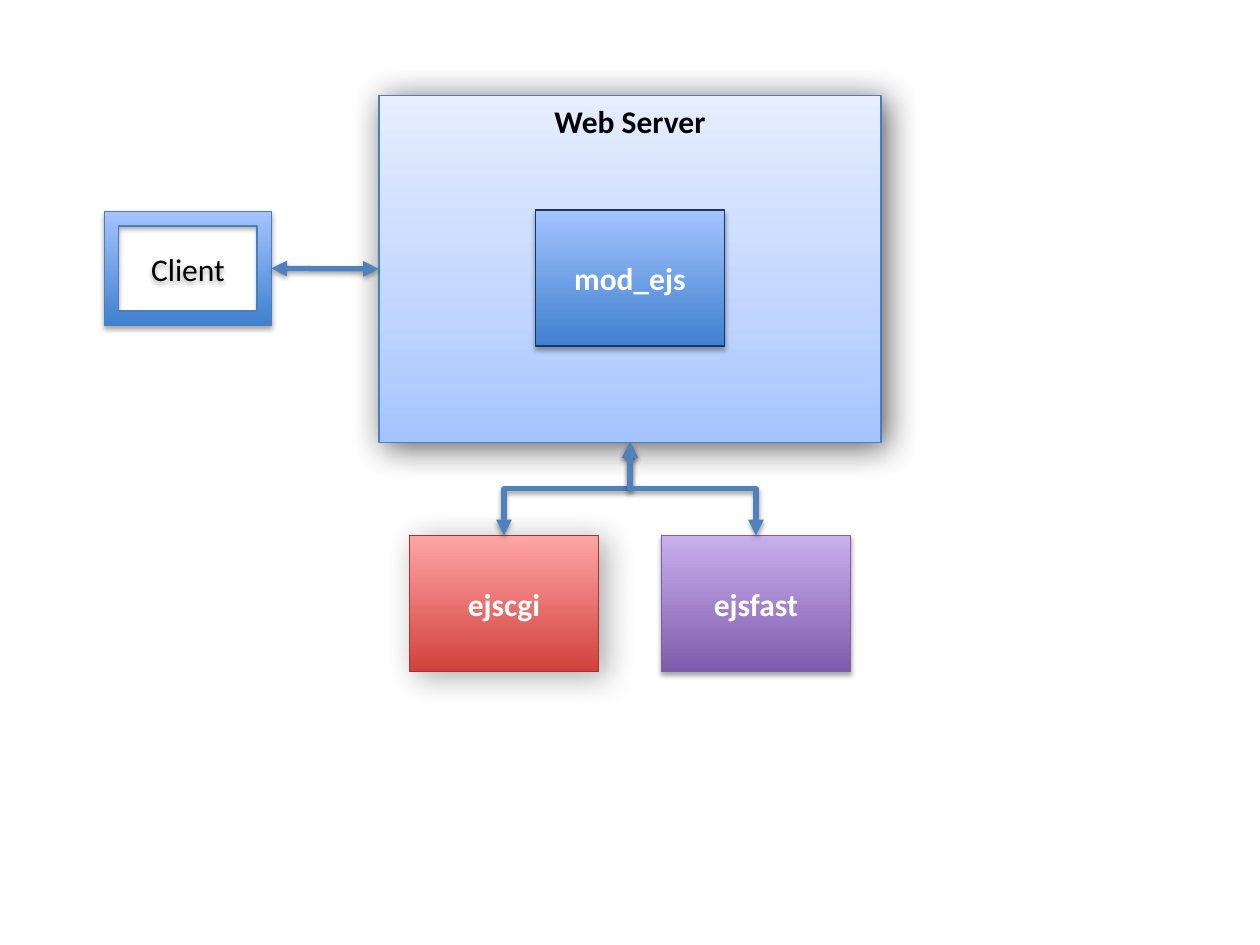
from dataclasses import dataclass

from lxml.etree import SubElement
from pptx import Presentation
from pptx.dml.color import RGBColor
from pptx.enum.shapes import MSO_CONNECTOR, MSO_SHAPE
from pptx.enum.text import MSO_ANCHOR, PP_ALIGN
from pptx.oxml.ns import qn
from pptx.shapes.autoshape import Shape
from pptx.shapes.connector import Connector
from pptx.slide import Slide
from pptx.util import Pt

BLACK = RGBColor(0x00, 0x00, 0x00)
NEAR_BLACK = RGBColor(0x0D, 0x0D, 0x0D)
WHITE = RGBColor(0xFF, 0xFF, 0xFF)
BLUE_LINE = RGBColor(0x4B, 0x7E, 0xBC)
NAVY_LINE = RGBColor(0x17, 0x37, 0x5E)
RED_LINE = RGBColor(0x95, 0x37, 0x35)
PURPLE_LINE = RGBColor(0x7D, 0x60, 0xA0)
ARROW_BLUE = RGBColor(0x4F, 0x81, 0xBD)
SKY = RGBColor(0xA4, 0xC4, 0xFF)

# Gradient stops run from the bottom edge (0) to the top edge (100)
Gradient = list[tuple[int, RGBColor]]
PALE_BLUE: Gradient = [(0, SKY), (35, RGBColor(0xBF, 0xD4, 0xFF)), (100, RGBColor(0xE6, 0xEE, 0xFF))]
BLUE: Gradient = [(0, RGBColor(0x3F, 0x80, 0xCE)), (100, SKY)]
RED: Gradient = [(0, RGBColor(0xD1, 0x40, 0x3C)), (100, RGBColor(0xFF, 0xA6, 0xA5))]
PURPLE: Gradient = [(0, RGBColor(0x7F, 0x5B, 0xAB)), (100, RGBColor(0xC8, 0xB0, 0xED))]

TOP, LEFT, BOTTOM, RIGHT = range(4)


@dataclass(frozen=True)
class Shadow:
    color: RGBColor
    opacity: int
    blur: float
    distance: float
    angle: int


SOFT_SHADOW = Shadow(BLACK, 35, 3.1, 1.8, 90)
ARROW_SHADOW = Shadow(BLACK, 38, 3.1, 1.6, 90)
SERVER_SHADOW = Shadow(NEAR_BLACK, 70, 19, 3.6, 37)
CGI_SHADOW = Shadow(NEAR_BLACK, 35, 18, 4.8, 34)


@dataclass(frozen=True)
class Box:
    text: str
    left: float
    top: float
    width: float
    height: float
    gradient: Gradient
    line: RGBColor
    shadow: Shadow = SOFT_SHADOW
    font_color: RGBColor = WHITE
    bold: bool = True
    anchor: MSO_ANCHOR = MSO_ANCHOR.MIDDLE
    kind: MSO_SHAPE = MSO_SHAPE.RECTANGLE


MODULE_WIDTH, MODULE_HEIGHT = 108, 77.8
WEB_SERVER = Box("Web Server", 216.5, 54.7, 287, 198, PALE_BLUE, BLUE_LINE,
                 SERVER_SHADOW, BLACK, anchor=MSO_ANCHOR.TOP)
EJSCGI = Box("ejscgi", 234, 306, MODULE_WIDTH, MODULE_HEIGHT, RED, RED_LINE, CGI_SHADOW)
CLIENT = Box("Client", 59.8, 121, 95.2, 64.8, BLUE, BLUE_LINE,
             font_color=BLACK, bold=False, kind=MSO_SHAPE.FRAME)
EJSFAST = Box("ejsfast", 378, 306, MODULE_WIDTH, MODULE_HEIGHT, PURPLE, PURPLE_LINE)
MOD_EJS = Box("mod_ejs", 306, 120, MODULE_WIDTH, MODULE_HEIGHT, BLUE, NAVY_LINE)


def add_color(parent, color: RGBColor):
    return SubElement(parent, qn("a:srgbClr"), val=str(color))


def set_gradient(shape: Shape, gradient: Gradient) -> None:
    """Fill the shape with a gradient that runs upwards."""
    shape.fill.gradient()
    fill = shape._element.spPr.find(qn("a:gradFill"))
    for child in list(fill):
        fill.remove(child)
    stops = SubElement(fill, qn("a:gsLst"))
    for position, color in gradient:
        add_color(SubElement(stops, qn("a:gs"), pos=str(position * 1000)), color)
    SubElement(fill, qn("a:lin"), ang=str(270 * 60000), scaled="0")


def set_shadow(shape: Shape | Connector, shadow: Shadow) -> None:
    effects = SubElement(shape._element.spPr, qn("a:effectLst"))
    outer = SubElement(effects, qn("a:outerShdw"), blurRad=str(int(Pt(shadow.blur))),
                       dist=str(int(Pt(shadow.distance))),
                       dir=str(shadow.angle * 60000), rotWithShape="0")
    SubElement(add_color(outer, shadow.color), qn("a:alpha"), val=str(shadow.opacity * 1000))


def add_box(slide: Slide, box: Box) -> Shape:
    shape = slide.shapes.add_shape(box.kind, Pt(box.left), Pt(box.top),
                                   Pt(box.width), Pt(box.height))
    set_gradient(shape, box.gradient)
    shape.line.color.rgb = box.line
    shape.line.width = Pt(0.75)
    set_shadow(shape, box.shadow)

    text_frame = shape.text_frame
    text_frame.text = box.text
    text_frame.vertical_anchor = box.anchor
    paragraph = text_frame.paragraphs[0]
    paragraph.alignment = PP_ALIGN.CENTER
    font = paragraph.runs[0].font
    font.name, font.size, font.bold = "Calibri", Pt(18), box.bold
    font.color.rgb = box.font_color
    return shape


def add_arrow(slide: Slide, kind: MSO_CONNECTOR, start: Shape, start_side: int,
              end: Shape, end_side: int) -> Connector:
    """Join two shapes with a double-headed arrow."""
    connector = slide.shapes.add_connector(kind, 0, 0, 0, 0)
    connector.begin_connect(start, start_side)
    connector.end_connect(end, end_side)
    connector.line.color.rgb = ARROW_BLUE
    connector.line.width = Pt(3)
    line = connector.line._get_or_add_ln()
    for arrowhead in ("a:headEnd", "a:tailEnd"):
        SubElement(line, qn(arrowhead), type="triangle")
    set_shadow(connector, ARROW_SHADOW)
    return connector


def add_branch(slide: Slide, parent: Shape, child: Shape) -> None:
    """Elbow arrow that leaves downwards: a turned elbow with its sides swapped."""
    connector = add_arrow(slide, MSO_CONNECTOR.ELBOW, parent, BOTTOM, child, TOP)
    goes_right = connector.end_x > connector.begin_x
    width, height = connector.width, connector.height
    connector.left += (width - height) // 2
    connector.top += (height - width) // 2
    connector.width, connector.height = height, width
    transform = connector._element.spPr.find(qn("a:xfrm"))
    transform.set("rot", str((270 if goes_right else 90) * 60000))
    transform.set("flipH", "1" if goes_right else "0")


def main() -> None:
    presentation = Presentation()
    presentation.slide_width, presentation.slide_height = Pt(720), Pt(540)
    slide = presentation.slides.add_slide(presentation.slide_layouts[6])

    # Boxes, from back to front
    server, ejscgi, client, ejsfast, _ = [
        add_box(slide, box) for box in (WEB_SERVER, EJSCGI, CLIENT, EJSFAST, MOD_EJS)
    ]

    # Arrows
    add_arrow(slide, MSO_CONNECTOR.STRAIGHT, client, RIGHT, server, LEFT)
    for handler in (ejscgi, ejsfast):
        add_branch(slide, server, handler)

    presentation.save("out.pptx")


if __name__ == "__main__":
    main()
